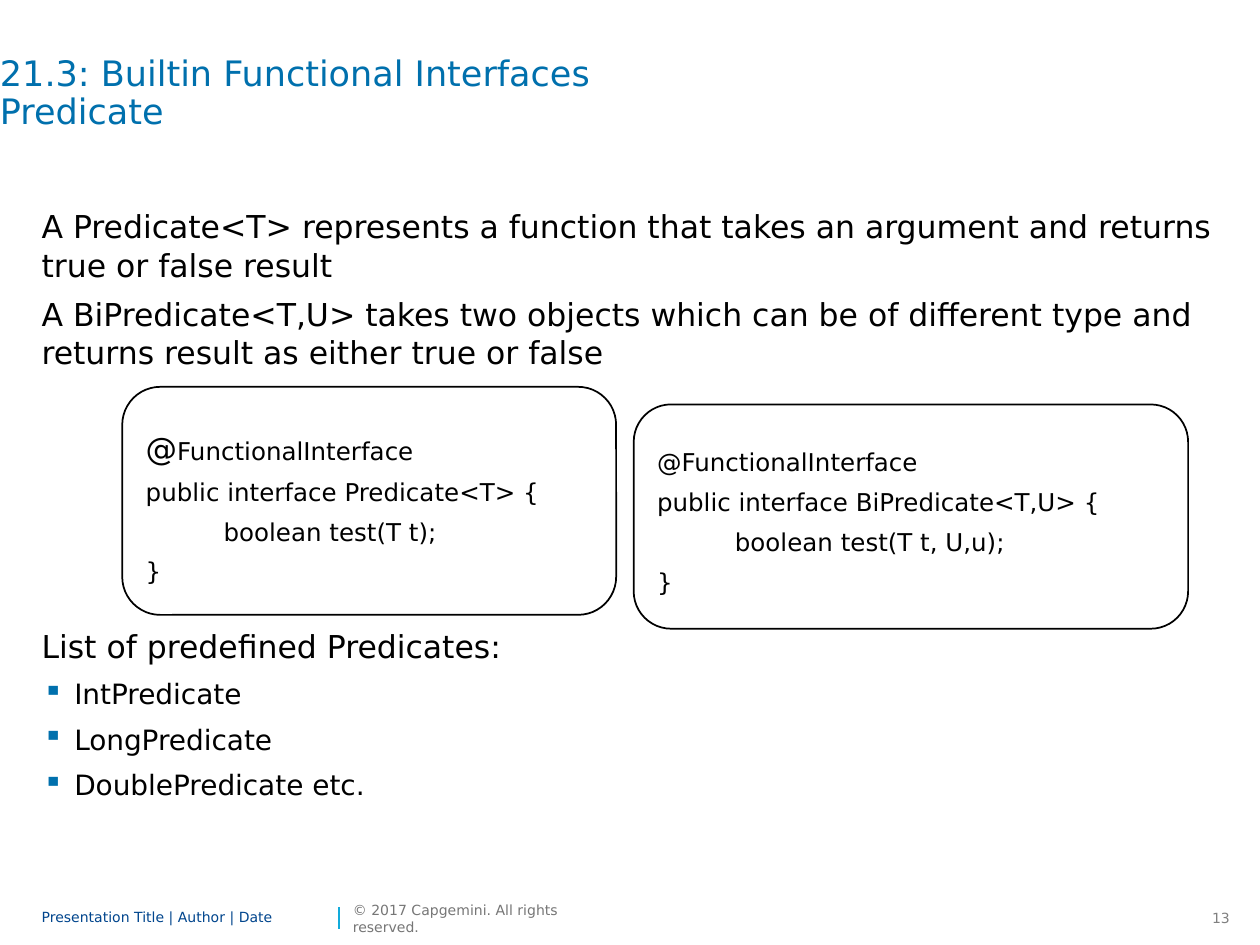
from pptx import Presentation
from pptx.dml.color import RGBColor
from pptx.enum.shapes import MSO_CONNECTOR, MSO_SHAPE
from pptx.enum.text import MSO_ANCHOR, PP_ALIGN
from pptx.oxml.ns import qn
from pptx.util import Inches, Pt
from lxml import etree

BLUE = "0070AD"
BLACK = "000000"


def write(frame, lines, size, color, spacing=None, after=0):
    frame.text = "\n".join(lines)
    for paragraph in frame.paragraphs:
        paragraph.alignment = PP_ALIGN.LEFT
        paragraph.line_spacing = spacing
        paragraph.space_after = Pt(after)
        for span in paragraph.runs:
            span.font.name = "DejaVu Sans"
            span.font.size = Pt(size)
            span.font.color.rgb = RGBColor.from_string(color)


def add_text(left, top, width, height, lines, size, color, spacing=None, after=0):
    box = page.shapes.add_textbox(Inches(left), Inches(top), Inches(width), Inches(height))
    frame = box.text_frame
    frame.word_wrap = True
    frame.margin_left = frame.margin_right = frame.margin_top = frame.margin_bottom = 0
    write(frame, lines, size, color, spacing, after)
    return frame


deck = Presentation()
deck.slide_width, deck.slide_height = Inches(10), Inches(7.5)
page = deck.slides.add_slide(deck.slide_layouts[6])

# Footer
number = add_text(9.47, 7.17, 0.39, 0.24, ["13"], 8, "808080")
number.word_wrap = False
number.margin_left = number.margin_right = Inches(0.1)
number.margin_top = number.margin_bottom = Inches(0.05)
number.paragraphs[0].alignment = PP_ALIGN.RIGHT

divider = page.shapes.add_connector(
    MSO_CONNECTOR.STRAIGHT, Inches(2.69), Inches(7.37), Inches(2.69), Inches(7.2))
divider.line.color.rgb = RGBColor.from_string("12ABDB")
divider.line.width = Pt(1)
etree.SubElement(divider._element.spPr, qn("a:effectLst"))

footer = add_text(0.33, 7.17, 2.32, 0.24, ["Presentation Title | Author | Date"], 8, "00458D", 0.85)
rights = add_text(2.8, 7.17, 1.82, 0.24, ["© 2017 Capgemini. All rights reserved."], 8, "767676")
rights.word_wrap = False
footer.vertical_anchor = rights.vertical_anchor = MSO_ANCHOR.MIDDLE

# Title
add_text(0, 0.45, 9.33, 0.94, ["21.3: Builtin Functional Interfaces\vPredicate"], 20, BLUE, 0.9)

# Introduction
add_text(0.33, 1.64, 9.67, 1.4, [
    "A Predicate<T> represents a function that takes an argument and returns true or false result",
    "A BiPredicate<T,U> takes two objects which can be of different type "
    "and returns result as either true or false",
], 18, BLACK, Pt(22), 6)

# Predefined predicates
add_text(0.33, 4.97, 9.67, 0.39, ["List of predefined Predicates:"], 18, BLACK, Pt(22), 6)
predicates = add_text(0.33, 5.36, 9.67, 1.36,
                      ["IntPredicate", "LongPredicate", "DoublePredicate etc."],
                      16, BLACK, Pt(20), 6)
for paragraph in predicates.paragraphs:
    properties = paragraph._p.get_or_add_pPr()
    properties.set("marL", str(Inches(0.26)))
    properties.set("indent", str(Inches(-0.25)))
    bullet_color = etree.SubElement(properties, qn("a:buClr"))
    etree.SubElement(bullet_color, qn("a:srgbClr"), val=BLUE)
    etree.SubElement(properties, qn("a:buChar"), char="▪")

# Interface definitions
interfaces = [
    (0.97, 3.07, 3.92, 1.81, "Predicate<T>", "T t"),
    (5.03, 3.21, 4.4, 1.78, "BiPredicate<T,U>", "T t, U,u"),
]
code_frames = []
for left, top, width, height, name, arguments in interfaces:
    panel = page.shapes.add_shape(
        MSO_SHAPE.ROUNDED_RECTANGLE, Inches(left), Inches(top), Inches(width), Inches(height))
    panel.shadow.inherit = False
    panel.fill.solid()
    panel.fill.fore_color.rgb = RGBColor.from_string("FFFFFF")
    panel.line.color.rgb = RGBColor.from_string(BLACK)
    panel.line.width = Pt(1)
    panel.text_frame.vertical_anchor = MSO_ANCHOR.MIDDLE
    write(panel.text_frame, [
        "@FunctionalInterface",
        f"public interface {name} {{",
        f"          boolean test({arguments});",
        "}",
    ], 14, BLACK, 1.35)
    code_frames.append(panel.text_frame)

# Larger at sign in the first definition
annotation = code_frames[0].paragraphs[0]
at_sign = annotation.runs[0]
at_sign.text = "@"
at_sign.font.size = Pt(18)
rest = annotation.add_run()
rest.text = "FunctionalInterface"
rest.font.name = "DejaVu Sans"
rest.font.size = Pt(14)
rest.font.color.rgb = RGBColor.from_string(BLACK)

deck.save("out.pptx")
